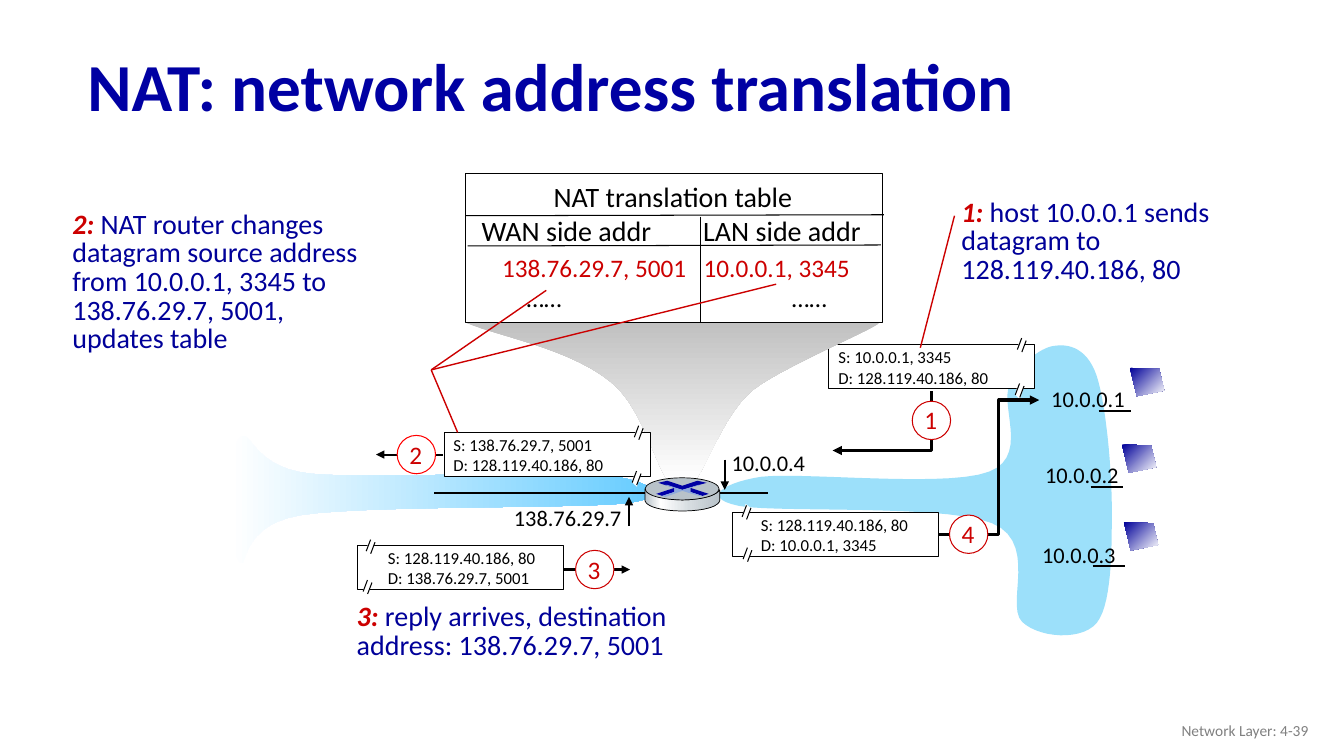
from dataclasses import dataclass

from lxml.etree import SubElement
from pptx import Presentation
from pptx.dml.color import RGBColor
from pptx.enum.shapes import MSO_CONNECTOR, MSO_SHAPE
from pptx.enum.text import MSO_ANCHOR, PP_ALIGN
from pptx.oxml.ns import qn
from pptx.util import Pt

Point = tuple[float, float]
Stops = list[tuple[int, str]]
BLACK, WHITE, RED, NAVY, BLUE = "000000", "FFFFFF", "CC0000", "000099", "0000A3"

prs = Presentation()
prs.slide_width, prs.slide_height = Pt(960), Pt(540)
s = prs.slides.add_slide(prs.slide_layouts[6])


@dataclass
class Datagram:
    number: str
    box: Point
    text_dx: float
    lines: list[str]
    breaks: list[Point]
    arrow: list[Point]
    arrow_width: float
    circle: Point
    ring: str = RED


@dataclass
class Host:
    address: str
    label: Point
    screen: Point
    link: Point


def rgb(color: str) -> RGBColor:
    return RGBColor.from_string(color)


def style(sp, fill: str | Stops | None, line: str | None = None, width: float = 0.75, angle: int = 0):
    sp.shadow.inherit = False
    if fill is None:
        sp.fill.background()
    elif isinstance(fill, str):
        sp.fill.solid()
        sp.fill.fore_color.rgb = rgb(fill)
    else:
        sp.fill.gradient()
        sp.fill.gradient_angle = (360 - angle) % 360
        stops = sp.element.spPr.find(qn("a:gradFill")).find(qn("a:gsLst"))
        for stop in list(stops):
            stops.remove(stop)
        for pos, color in fill:
            gs = SubElement(stops, qn("a:gs"), pos=str(pos * 1000))
            SubElement(gs, qn("a:srgbClr"), val=color)
    if line is None:
        sp.line.fill.background()
    else:
        sp.line.color.rgb = rgb(line)
        sp.line.width = Pt(width)


def add_arrowhead(sp) -> None:
    SubElement(sp.element.spPr.find(qn("a:ln")), qn("a:tailEnd"), type="triangle")


def shape(kind: MSO_SHAPE, x: float, y: float, w: float, h: float, fill: str, line: str, width: float = 0.75) -> None:
    style(s.shapes.add_shape(kind, Pt(x), Pt(y), Pt(w), Pt(h)), fill, line, width)


def outline(points: list[Point], fill: str | Stops | None, line: str | None = None,
            width: float = 0.75, angle: int = 0, closed: bool = True):
    (x, y), *rest = points
    builder = s.shapes.build_freeform(Pt(x), Pt(y), scale=1.0)
    builder.add_line_segments([(Pt(a), Pt(b)) for a, b in rest], close=closed)
    sp = builder.convert_to_shape()
    style(sp, fill, line, width, angle)
    return sp


def curve(points: list[Point], steps: int = 14) -> list[Point]:
    result = [points[0]]
    for i in range(0, len(points) - 1, 3):
        cubic = points[i:i + 4]
        for t in (n / steps for n in range(1, steps + 1)):
            weights = ((1 - t) ** 3, 3 * t * (1 - t) ** 2, 3 * t * t * (1 - t), t ** 3)
            result.append((sum(w * p[0] for w, p in zip(weights, cubic)),
                           sum(w * p[1] for w, p in zip(weights, cubic))))
    return result


def line(start: Point, end: Point, color: str = BLACK, width: float = 0.75, arrow: bool = False) -> None:
    sp = s.shapes.add_connector(MSO_CONNECTOR.STRAIGHT, Pt(start[0]), Pt(start[1]), Pt(end[0]), Pt(end[1]))
    sp.line.color.rgb = rgb(color)
    sp.line.width = Pt(width)
    if arrow:
        add_arrowhead(sp)
    SubElement(sp.element.spPr, qn("a:effectLst"))


def text_frame(x: float, y: float, w: float, h: float, wrap: bool = True):
    tf = s.shapes.add_textbox(Pt(x), Pt(y), Pt(w), Pt(h)).text_frame
    tf.word_wrap = wrap
    return tf


def paragraph(tf, text: str, size: float, color: str, tabs: tuple[float, ...] = ()):
    p = tf.paragraphs[0] if not tf.paragraphs[0].runs else tf.add_paragraph()
    p.add_run().text = text
    if tabs:
        tab_list = SubElement(p._p.get_or_add_pPr(), qn("a:tabLst"))
        for pos in tabs:
            SubElement(tab_list, qn("a:tab"), pos=str(Pt(pos)), algn="l")
    p.font.name, p.font.size, p.font.color.rgb = "Calibri", Pt(size), rgb(color)
    return p


def label(x: float, y: float, text: str) -> None:
    paragraph(text_frame(x, y, 67.7, 26.6, False), text, 16, BLACK)


def note(x: float, y: float, w: float, h: float, number: str, texts: list[str]) -> None:
    tf = text_frame(x, y, w, h)
    for i, text in enumerate(texts):
        p = paragraph(tf, text if i else f"{number}: ", 20, NAVY)
        p.line_spacing = 0.85
        if i == 0:
            r = p.runs[0]
            r.font.bold = r.font.italic = True
            r.font.color.rgb = rgb(RED)
            p.add_run().text = text


def draw_datagram(d: Datagram) -> None:
    x, y = d.box
    shape(MSO_SHAPE.RECTANGLE, x, y, 147.2, 31.7, WHITE, BLACK)
    tf = text_frame(x + d.text_dx, y - 1.8, 139.3, 36)
    for text in d.lines:
        paragraph(tf, text, 12, BLACK)
    for bx, by in d.breaks:
        outline([(bx + 2.7, by), (bx, by + 9), (bx + 3.6, by + 12.2), (bx + 6.5, by + 2.9)], WHITE)
        for dx, dy in ((0, 0), (3.2, 1.8)):
            line((bx + dx + 3.3, by + dy + 1), (bx + dx + 0.2, by + dy + 9.2))
    if len(d.arrow) == 2:
        line(d.arrow[0], d.arrow[1], BLACK, d.arrow_width, True)
    else:
        add_arrowhead(outline(d.arrow, None, BLACK, d.arrow_width, closed=False))
    cx, cy = d.circle
    shape(MSO_SHAPE.OVAL, cx, cy, 27.4, 27.4, WHITE, d.ring)
    paragraph(text_frame(cx + 1.6, cy - 1, 24.5, 29, False), d.number, 18, RED)


tf = text_frame(55.4, 22.3, 828, 84.2)
tf.vertical_anchor = MSO_ANCHOR.MIDDLE
p = paragraph(tf, "NAT: network address translation", 48, BLUE)
p.font.bold, p.line_spacing = True, 0.9

outline(curve([
    (430.6, 339.1), (392.4, 335.5), (265, 342.7), (221.8, 338.4), (178.6, 334.1), (179.3, 303.1), (170.6, 313.2),
    (162, 324), (163.4, 391.7), (170.6, 401), (177.8, 409.7), (169.2, 375.1), (215.3, 367.9), (261.4, 360.7),
    (412.6, 363.6), (448.6, 359.3), (484.6, 354.2), (461.5, 342.7), (430.6, 339.1)]), [(0, WHITE), (100, "66CCFF")])
outline(curve([
    (543.6, 340.6), (573.1, 337), (676.8, 348.5), (706.3, 337), (735.8, 326.2), (713.5, 289.4), (721.4, 274.3),
    (729.4, 259.2), (743.8, 247.7), (753.8, 247), (763.9, 245.5), (776.9, 249.1), (783.4, 268.6), (789.8, 288),
    (794.2, 334.1), (794.2, 363.6), (794.2, 393.1), (794.2, 431.3), (783.4, 445), (772.6, 457.9), (742.3, 455.8),
    (730.1, 444.2), (717.8, 432), (742.3, 387.4), (708.5, 373.7), (675.4, 360), (555.1, 366.5), (527.8, 361.4),
    (500.4, 355.7), (516.2, 344.9), (543.6, 340.6)]), "9CE0FA")

draw_datagram(Datagram("1", (591.8, 246.2), 0, ["S: 10.0.0.1, 3345", "D: 128.119.40.186, 80"],
                       [(726.5, 240.5), (725, 272.9)], [(665.3, 279.4), (665.3, 321.8), (594.7, 321.8)], 2.25,
                       (651.6, 286.6)))
label(515.5, 317.5, "10.0.0.4")
paragraph(text_frame(360, 356.4, 92.2, 26.6, False), "138.76.29.7", 16, BLACK)
note(679.7, 139, 241.9, 69.1, "1", ["host 10.0.0.1 sends datagram to 128.119.40.186, 80"])
line((681.8, 154.1), (657.4, 248.4), RED, 1)

outline(curve([(332.6, 230.4), (332.6, 230.4), (592.6, 222.5), (627.1, 230.4), (637.2, 229.7), (559.4, 261.4),
               (537.8, 278.6), (516.2, 296.6), (505.4, 333.4), (496.1, 343.4)])
        + curve([(477.4, 343.4), (467.3, 331.2), (459.4, 290.9), (435.6, 272.2), (405.4, 248.4), (356.4, 240.5),
                 (332.6, 230.4)]), [(0, "BFBFBF"), (100, WHITE)], angle=90)
shape(MSO_SHAPE.RECTANGLE, 332.6, 123.8, 298.1, 106.6, WHITE, BLACK)
tf = text_frame(337, 124.6, 287.3, 55.4)
paragraph(tf, "NAT translation table", 20, BLACK).alignment = PP_ALIGN.CENTER
paragraph(tf, "WAN side addr\tLAN side addr", 20, BLACK, (158.2,))
line((332.6, 154.1), (631.4, 153.4))
line((334.1, 175.7), (629.3, 175))
line((500.4, 154.8), (500.4, 230.4))
tf = text_frame(351.6, 176.4, 274, 51.1)
paragraph(tf, "138.76.29.7, 5001\t10.0.0.1, 3345", 18, RED, (144,))
paragraph(tf, "\t……\t……", 18, BLACK, (17.5, 207))

draw_datagram(Datagram("4", (523.4, 365.8), 13, ["S: 128.119.40.186, 80", "D: 10.0.0.1, 3345"],
                       [(529.9, 360), (530.6, 390.2)],
                       [(670.3, 381.6), (713.5, 381.6), (713.5, 285.8), (742.3, 285.8)], 2.25, (678.2, 367.9)))
draw_datagram(Datagram("2", (317.5, 308.9), -0.7, ["S: 138.76.29.7, 5001", "D: 128.119.40.186, 80"],
                       [(452.9, 303.1), (451.4, 335.5)], [(316.1, 324.7), (268.6, 324.7)], 1.5,
                       (283.7, 311), "FF0000"))
note(44.6, 147.6, 248.4, 110.2, "2",
     ["NAT router changes datagram source address from 10.0.0.1, 3345 to 138.76.29.7, 5001,", "updates table"])
for end in ((326.9, 308.9), (390.2, 207.4), (554.4, 203)):
    line((308, 264.2), end, RED, 1)
draw_datagram(Datagram("3", (255.6, 389.5), 14.4, ["S: 128.119.40.186, 80", "D: 138.76.29.7, 5001"],
                       [(261.4, 384.5), (259.2, 413.3)], [(403.2, 406.8), (450, 406.8)], 1.5, (411.1, 393.1)))
note(247.7, 427.7, 280.1, 49, "3", ["reply arrives, destination address: 138.76.29.7, 5001"])

for host in (Host("10.0.0.1", (743.8, 271.4), (807.1, 262.8), (784.8, 293.8)),
             Host("10.0.0.2", (739.4, 326.2), (801.4, 317.5), (779, 347.8)),
             Host("10.0.0.3", (737.3, 383), (802.8, 373), (780.5, 404.6))):
    label(*host.label, host.address)
    corners = ((0, 0), (20.9, 0.7), (24.5, 16.2), (5, 20.2))
    outline([(host.screen[0] + dx, host.screen[1] + dy) for dx, dy in corners],
            [(0, NAVY), (100, WHITE)], angle=45)
    line(host.link, (host.link[0] + 23, host.link[1]), width=1.5)

line((310.3, 352.1), (548.6, 352.1), width=2)
outline([(514.1, 349.9)]
        + curve([(514.1, 357.8), (511.9, 363.6), (496.8, 365), (487.4, 365), (478.8, 365), (463, 363.6), (460.8, 357.8)])
        + curve([(460.8, 349.2), (463.7, 354.2), (478.8, 357.1), (487.4, 357.1), (496.1, 357.1), (511.2, 355),
                 (514.1, 349.9)]),
        [(0, "B8C2C9"), (21, WHITE), (60, "D6DCE0"), (100, "B8C2C9")], BLACK, 0.5)
shape(MSO_SHAPE.OVAL, 460.8, 341.3, 52.8, 15.8, "B8C2C9", BLACK, 0.5)
outline([(498.2, 343.4), (504.7, 344.9), (499.7, 346.3), (487.4, 349.9), (474.5, 346.3), (470.2, 344.9),
         (476.6, 343.4), (487.4, 347)], BLUE)
outline([(493.2, 348.5), (506.2, 352.8), (501.8, 354.2), (493.2, 351.4)], BLUE)
outline([(481.7, 348.5), (481.7, 351.4), (473, 354.2), (468.7, 352.8)], "0000A8")
outline([(474.5, 346.3), (476.6, 346.3), (487.4, 349.9), (499, 346.3), (500.4, 346.3), (493.2, 348.5),
         (493.2, 351.4), (501.1, 354.2), (499, 354.2), (487.4, 350.6), (475.2, 355), (473, 354.2),
         (481.7, 351.4), (481.7, 348.5)], "8FAADC")
line((449.3, 375.8), (449.3, 355), width=1.5, arrow=True)
line((517.7, 328.3), (517.7, 349.9), width=1.5, arrow=True)

tf = text_frame(725.8, 507.6, 216, 28.8)
tf.vertical_anchor = MSO_ANCHOR.MIDDLE
paragraph(tf, "Network Layer: 4-39", 11, "808080").alignment = PP_ALIGN.RIGHT
prs.save("out.pptx")
